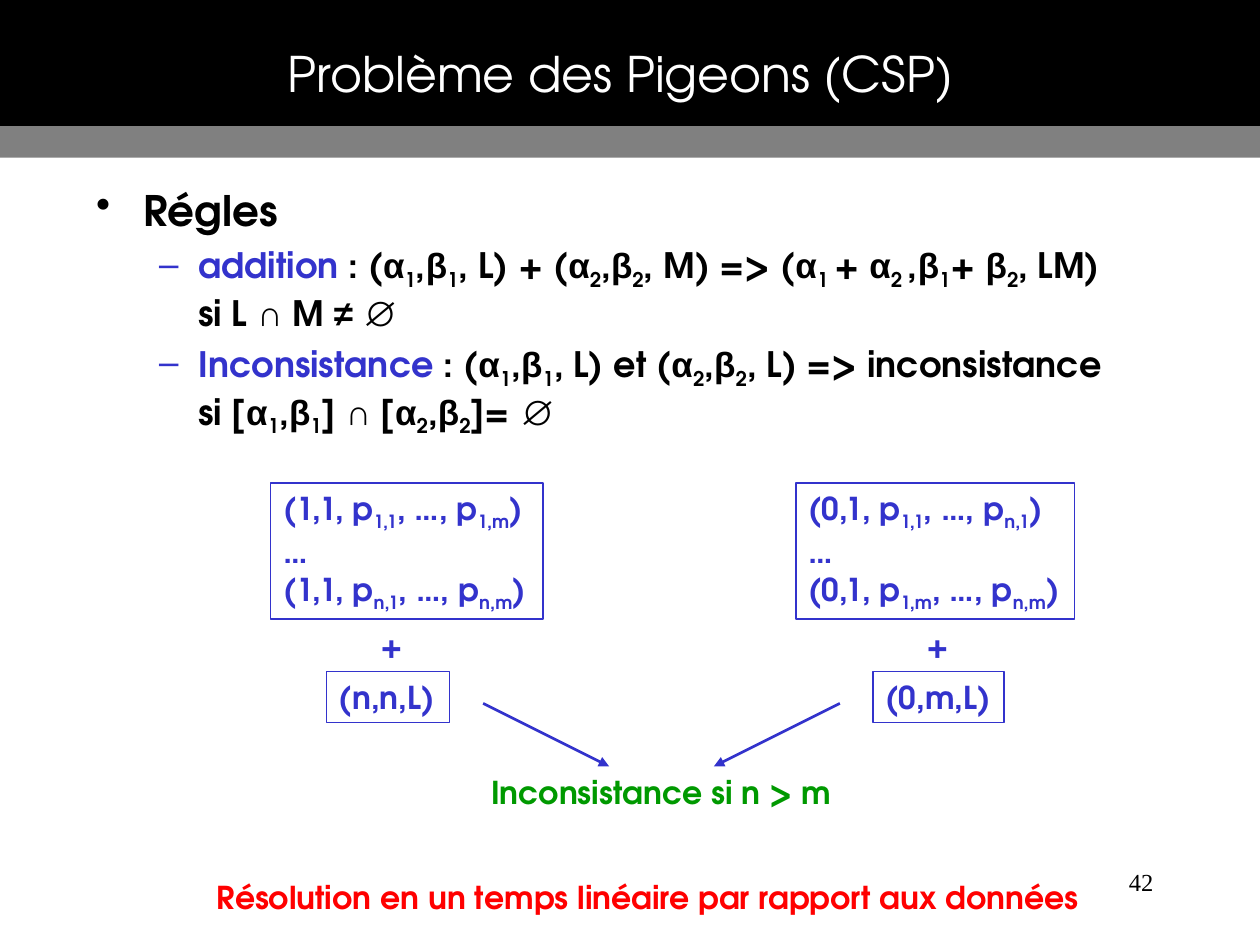
import itertools

import pptx
import pptx.dml.color
import pptx.enum.shapes
import pptx.enum.text
import pptx.oxml
import pptx.oxml.ns
import pptx.util

Cm = pptx.util.Cm
Pt = pptx.util.Pt
ALIGN = pptx.enum.text.PP_ALIGN
ANCHOR = pptx.enum.text.MSO_ANCHOR

COLORS = {
    "black": "000000",
    "gray": "808080",
    "white": "FFFFFF",
    "blue": "3333CC",
    "green": "009900",
    "red": "FF0000",
}
MAIN_FONT = "TeX Gyre Adventor"
SYMBOL_FONT = "Arial"
SYMBOLS = "αβ∩≠∅"


def rgb(name):
    return pptx.dml.color.RGBColor.from_string(COLORS[name])


def xml(tag, **attributes):
    element = pptx.oxml.parse_xml(f"<{tag} {pptx.oxml.ns.nsdecls('a')}/>")
    for key, value in attributes.items():
        element.set(key, value)
    return element


def add_run(paragraph, text, font=MAIN_FONT, size=18, color="blue", bold=True, subscript=False):
    run = paragraph.add_run()
    run.text = text
    run.font.name = font
    run.font.size = Pt(size)
    run.font.bold = bold
    run.font.color.rgb = rgb(color)
    if subscript:
        run.font._element.set("baseline", "-25000")


def script_of(character):
    return "break" if character == "\n" else "symbol" if character in SYMBOLS else "latin"


def write(paragraph, text, align=ALIGN.LEFT, font=MAIN_FONT, **style):
    """Text in braces is set as subscript."""
    paragraph.alignment = align
    for index, part in enumerate(text.replace("}", "{").split("{")):
        for script, characters in itertools.groupby(part, script_of):
            if script == "break":
                paragraph.add_line_break()
            else:
                face = SYMBOL_FONT if script == "symbol" else font
                add_run(paragraph, "".join(characters), font=face, subscript=index % 2 == 1, **style)


def add_text(slide, box, lines, wrap=False, anchor=ANCHOR.TOP, outline=False, **style):
    label = slide.shapes.add_textbox(*map(Cm, box))
    if outline:
        label.line.color.rgb = rgb("blue")
        label.line.width = Pt(0.75)
    frame = label.text_frame
    frame.word_wrap = wrap
    frame.vertical_anchor = anchor
    for index, line in enumerate(lines):
        paragraph = frame.add_paragraph() if index else frame.paragraphs[0]
        write(paragraph, line, **style)
    return frame


def add_band(slide, top, height, color):
    band = slide.shapes.add_shape(
        pptx.enum.shapes.MSO_SHAPE.RECTANGLE, 0, Cm(top), Cm(25.4), Cm(height))
    band.shadow.inherit = False
    band.fill.solid()
    band.fill.fore_color.rgb = rgb(color)
    band.line.fill.background()


def add_bullet(paragraph, mark, color, left, hanging):
    properties = paragraph._p.get_or_add_pPr()
    properties.set("marL", str(Cm(left)))
    properties.set("indent", str(-Cm(hanging)))
    bullet_color = xml("a:buClr")
    bullet_color.append(xml("a:srgbClr", val=COLORS[color]))
    properties.append(bullet_color)
    properties.append(xml("a:buChar", char=mark))


def add_rules(slide, heading, rules):
    frame = add_text(slide, (1.69, 3.6, 22.43, 5.5), [], wrap=True)
    first = frame.paragraphs[0]
    add_bullet(first, "•", "black", 0.95, 0.95)
    write(first, heading, size=24, color="black")
    for name, formula in rules:
        rule = frame.add_paragraph()
        rule.level = 1
        rule.space_before = Pt(5)
        add_bullet(rule, "–", "blue", 2.06, 0.79)
        write(rule, name, size=20)
        write(rule, formula, size=20, color="black")


def add_arrow(slide, start, end):
    arrow = slide.shapes.add_connector(
        pptx.enum.shapes.MSO_CONNECTOR.STRAIGHT, *map(Cm, start + end))
    arrow.line.color.rgb = rgb("blue")
    arrow.line.width = Pt(1.5)
    arrow.line._get_or_add_ln().append(xml("a:tailEnd", type="triangle"))
    arrow._element.spPr.append(xml("a:effectLst"))


def add_side(slide, clauses, clauses_span, plus_left, total, total_span):
    left, width = clauses_span
    add_text(slide, (left, 9.74, width, 2.74), clauses, outline=True)
    add_text(slide, (plus_left, 12.49, 0.86, 1.02), ["+"])
    left, width = total_span
    add_text(slide, (left, 13.54, width, 1.02), [total], outline=True)


def main():
    presentation = pptx.Presentation()
    presentation.slide_width = Cm(25.4)
    presentation.slide_height = Cm(19.05)
    slide = presentation.slides.add_slide(presentation.slide_layouts[6])

    add_band(slide, 2.54, 0.64, "gray")
    add_band(slide, 0, 2.54, "black")
    title = add_text(slide, (1.69, 0.42, 21.59, 2.12), ["Problème des Pigeons (CSP)"],
                     wrap=True, anchor=ANCHOR.MIDDLE, align=ALIGN.CENTER,
                     size=28, color="white", bold=False)
    title.margin_left, title.margin_right = Cm(0.2), Cm(0.15)
    title.margin_top = title.margin_bottom = Cm(0.03)

    add_rules(slide, "Régles", [
        ("addition", " : (α{1},β{1}, L) + (α{2},β{2}, M) => "
                     "(α{1 }+ α{2 },β{1}+ β{2}, LM)\nsi L ∩ M ≠ ∅"),
        ("Inconsistance", " : (α{1},β{1}, L) et (α{2},β{2}, L) => inconsistance\n"
                          "si [α{1},β{1}] ∩ [α{2},β{2}]= ∅"),
    ])

    add_side(slide, ["(1,1, p{1,1}, …, p{1,m})", "…", "(1,1, p{n,1}, …, p{n,m})"],
             (5.46, 5.49), 7.42, "(n,n,L)", (6.58, 2.49))
    add_side(slide, ["(0,1, p{1,1}, …, p{n,1})", "…", "(0,1, p{1,m}, …, p{n,m})"],
             (16.05, 5.61), 18.42, "(0,m,L)", (17.6, 2.64))
    add_arrow(slide, (9.74, 14.18), (12.28, 15.45))
    add_arrow(slide, (16.93, 14.18), (14.39, 15.45))

    add_text(slide, (9.65, 15.45, 7.47, 1.02), ["Inconsistance si n > m"], color="green")
    add_text(slide, (4.12, 17.57, 18.62, 1.02),
             ["Résolution en un temps linéaire par rapport aux données"], color="red")
    add_text(slide, (18.21, 17.36, 5.29, 1.27), ["42"], wrap=True, align=ALIGN.RIGHT,
             font="Times New Roman", size=14, color="black", bold=False)

    presentation.save("out.pptx")


if __name__ == "__main__":
    main()
